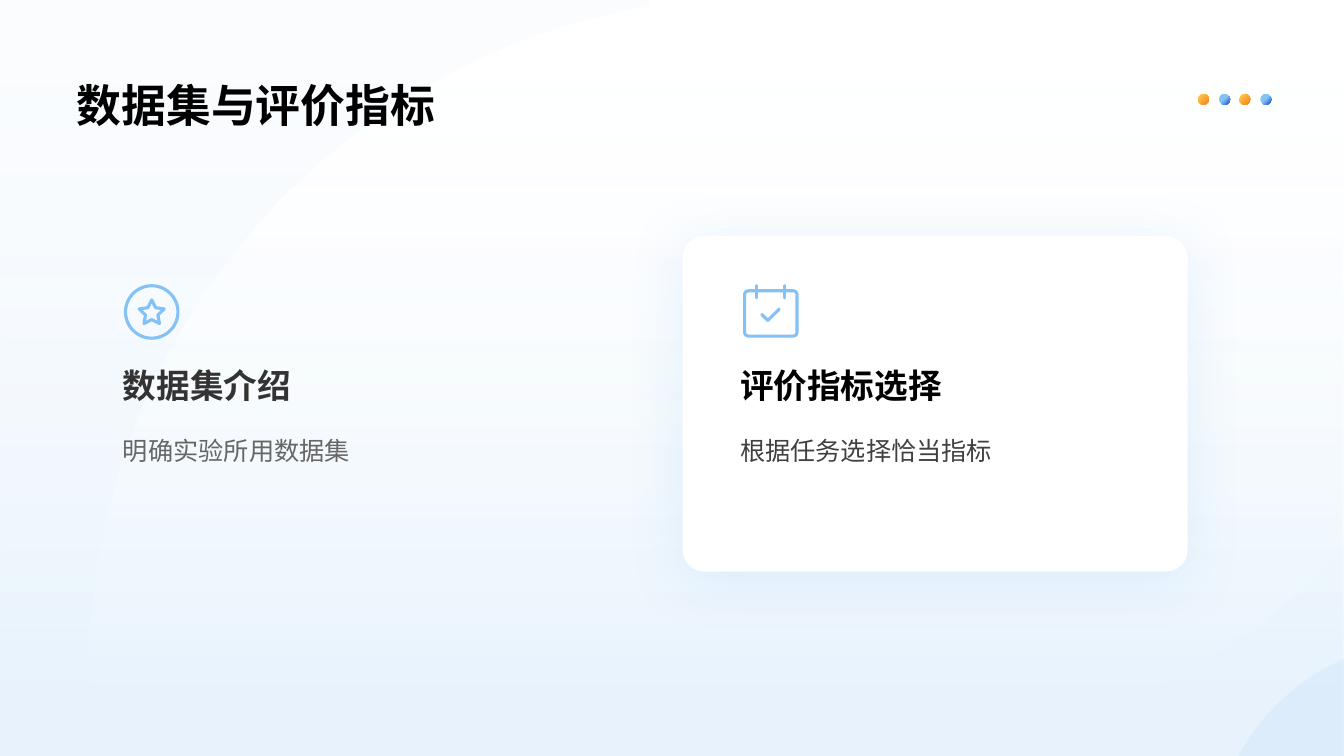
from dataclasses import dataclass
from math import cos, radians, sin

from lxml.etree import SubElement
from pptx import Presentation
from pptx.dml.color import RGBColor
from pptx.enum.shapes import MSO_SHAPE as Preset
from pptx.enum.text import MSO_ANCHOR as Anchor, MSO_AUTO_SIZE as AutoSize, PP_ALIGN as Align
from pptx.oxml.ns import qn
from pptx.shapes.autoshape import Shape
from pptx.shapes.shapetree import SlideShapes
from pptx.text.text import TextFrame
from pptx.util import Pt

PX = 9144
WIDTH, HEIGHT = 1333, 750
CJK = "Noto Sans CJK SC"
COLORS = {
    "white": "FFFFFF",
    "black": "000000",
    "sky": "84C1F4",
    "royal": "1A48D8",
    "amber": "FAC348",
    "orange": "F88A20",
    "mist": "E6F3FD",
    "haze": "CEE6FB",
    "dark": "333333",
    "slate": "404040",
    "gray": "666666",
}
Point = tuple[float, float]


@dataclass(frozen=True)
class Stop:
    percent: int
    color: str
    opacity: int = 100


@dataclass(frozen=True)
class Wave:
    center: Point
    radius: int
    start: float
    end: float
    corners: list[Point]
    color: str
    opacity: int


@dataclass(frozen=True)
class Topic:
    left: int
    heading: str
    heading_color: str
    detail: str
    detail_color: str


SKY_FADE = (Stop(0, "white", 0), Stop(91, "sky", 18))
ORANGE_DOT = (Stop(23, "amber"), Stop(88, "orange"))
BLUE_DOT = (Stop(52, "sky"), Stop(100, "royal"))
CORNER = (WIDTH, HEIGHT)
CORNER_WAVE = Wave((1422, 856), 221, 208.7, 246.4, [CORNER], "haze", 50)
WIDE_WAVES = [
    Wave((758, 666), 670, 260.2, 172.8, [(0, HEIGHT), (0, 0), (644, 0)], "mist", 20),
    Wave((849, 86), 667, 84.1, 43.4, [CORNER], "mist", 20),
]
TOPICS = [
    Topic(734, "评价指标选择", "black", "根据任务选择恰当指标", "slate"),
    Topic(122, "数据集介绍", "dark", "明确实验所用数据集", "gray"),
]


def rgb(color: str) -> RGBColor:
    return RGBColor.from_string(COLORS[color])


def arc(center: Point, radius: float, start: float, end: float, steps: int) -> list[Point]:
    angles = [radians(start + (end - start) * i / steps) for i in range(steps + 1)]
    return [(center[0] + radius * cos(a), center[1] + radius * sin(a)) for a in angles]


def set_opacity(shape: Shape, opacities: list[int]) -> None:
    for color, opacity in zip(shape._element.spPr.iter(qn("a:srgbClr")), opacities):
        SubElement(color, qn("a:alpha")).set("val", str(opacity * 1000))


def add_preset(shapes: SlideShapes, kind: Preset, box: tuple[int, int, int, int]) -> Shape:
    shape = shapes.add_shape(kind, *(v * PX for v in box))
    shape.shadow.inherit = False
    shape.line.fill.background()
    return shape


def fill_gradient(shape: Shape, stops: tuple[Stop, Stop], angle: int) -> None:
    shape.fill.gradient()
    shape.fill.gradient_angle = 360 - angle
    for target, stop in zip(shape.fill.gradient_stops, stops):
        target.position = stop.percent / 100
        target.color.rgb = rgb(stop.color)
    set_opacity(shape, [stop.opacity for stop in stops])


def add_outline(shapes: SlideShapes, contours: list[list[Point]], close: bool) -> Shape:
    scaled = [[(x * PX, y * PX) for x, y in contour] for contour in contours]
    builder = shapes.build_freeform(*scaled[0][0], scale=1.0)
    for i, contour in enumerate(scaled):
        if i:
            builder.move_to(*contour[0])
        builder.add_line_segments(contour[1:], close=close)
    shape = builder.convert_to_shape()
    shape.shadow.inherit = False
    return shape


def add_wave(shapes: SlideShapes, wave: Wave) -> None:
    edge = arc(wave.center, wave.radius, wave.start, wave.end, 60)
    shape = add_outline(shapes, [edge + wave.corners], True)
    shape.line.fill.background()
    shape.fill.solid()
    shape.fill.fore_color.rgb = rgb(wave.color)
    set_opacity(shape, [wave.opacity])


def add_icon(shapes: SlideShapes, strokes: list[list[Point]]) -> None:
    icon = add_outline(shapes, strokes, False)
    icon.fill.background()
    icon.line.color.rgb = rgb("sky")
    icon.line.width = Pt(2.25)
    outline = icon.line._get_or_add_ln()
    outline.set("cap", "rnd")
    SubElement(outline, qn("a:round"))


def star_strokes() -> list[list[Point]]:
    ring = arc((150.5, 309.5), 26, 0, 360, 60)
    radii = [13 if i % 2 == 0 else 6.5 for i in range(11)]
    star = [arc((150.5, 310.5), r, 36 * i - 90, 0, 1)[0] for i, r in enumerate(radii)]
    return [ring, star]


def calendar_strokes() -> list[list[Point]]:
    left, top, right, bottom, bend = 738.5, 288.5, 790.5, 333.5, 4
    centers = [
        (right - bend, bottom - bend),
        (left + bend, bottom - bend),
        (left + bend, top + bend),
        (right - bend, top + bend),
    ]
    frame = [p for i, c in enumerate(centers) for p in arc(c, bend, 90 * i, 90 * i + 90, 6)]
    hooks = [[(x, 283.5), (x, 295.5)] for x in (750.5, 778)]
    check = [(755.5, 312), (761.5, 318), (773, 306.5)]
    return [frame + frame[:1], *hooks, check]


def write(frame: TextFrame, text: str, font: str, size: int, color: str, bold: bool) -> None:
    frame.word_wrap = True
    frame.auto_size = AutoSize.NONE
    frame.margin_left = frame.margin_right = frame.margin_top = frame.margin_bottom = 0
    run = frame.paragraphs[0].add_run()
    run.text = text
    run.font.name = font
    run.font.size = Pt(size)
    run.font.bold = bold
    run.font.color.rgb = rgb(color)
    if font == CJK:
        SubElement(run._r.get_or_add_rPr(), qn("a:ea")).set("typeface", font)


def add_card(shapes: SlideShapes) -> None:
    card = add_preset(shapes, Preset.ROUNDED_RECTANGLE, (677, 234, 501, 333))
    card.adjustments[0] = 0.064
    card.fill.solid()
    card.fill.fore_color.rgb = rgb("white")
    effects = card._element.spPr.find(qn("a:effectLst"))
    glow = SubElement(effects, qn("a:outerShdw"))
    settings = {"blurRad": Pt(40), "dist": Pt(6), "dir": 90 * 60000, "algn": "t", "rotWithShape": 0}
    for key, value in settings.items():
        glow.set(key, str(int(value)) if key != "algn" else value)
    tint = SubElement(glow, qn("a:srgbClr"))
    tint.set("val", COLORS["sky"])
    SubElement(tint, qn("a:alpha")).set("val", "20000")


def add_topic(shapes: SlideShapes, topic: Topic) -> None:
    detail = shapes.add_textbox(topic.left * PX, 417 * PX, 386 * PX, 119 * PX).text_frame
    write(detail, topic.detail, CJK, 18, topic.detail_color, False)
    detail.paragraphs[0].alignment = Align.JUSTIFY
    detail.paragraphs[0].line_spacing = 1.5
    heading = shapes.add_textbox(topic.left * PX, 362 * PX, 386 * PX, 36 * PX).text_frame
    write(heading, topic.heading, CJK, 24, topic.heading_color, True)


def main() -> None:
    deck = Presentation()
    deck.slide_width, deck.slide_height = WIDTH * PX, HEIGHT * PX
    shapes = deck.slides.add_slide(deck.slide_layouts[5]).shapes
    backdrop = add_preset(shapes, Preset.RECTANGLE, (0, 0, WIDTH, HEIGHT))
    fill_gradient(backdrop, SKY_FADE, 90)
    add_wave(shapes, CORNER_WAVE)
    for i, left in enumerate((1188, 1209, 1229, 1250)):
        dot = add_preset(shapes, Preset.OVAL, (left, 93, 11, 11))
        fill_gradient(dot, BLUE_DOT if i % 2 else ORANGE_DOT, 45)
    for wave in WIDE_WAVES:
        add_wave(shapes, wave)
    title = shapes.title
    title.left, title.top, title.width, title.height = (v * PX for v in (76, 43, 1181, 87))
    write(title.text_frame, "数据集与评价指标", "Arial", 32, "black", True)
    title.text_frame.vertical_anchor = Anchor.BOTTOM
    title.text_frame.paragraphs[0].alignment = Align.LEFT
    shapes._spTree.append(title._element)
    add_card(shapes)
    for topic, strokes in zip(TOPICS, (calendar_strokes(), star_strokes())):
        add_topic(shapes, topic)
        add_icon(shapes, strokes)
    deck.save("out.pptx")


if __name__ == "__main__":
    main()
